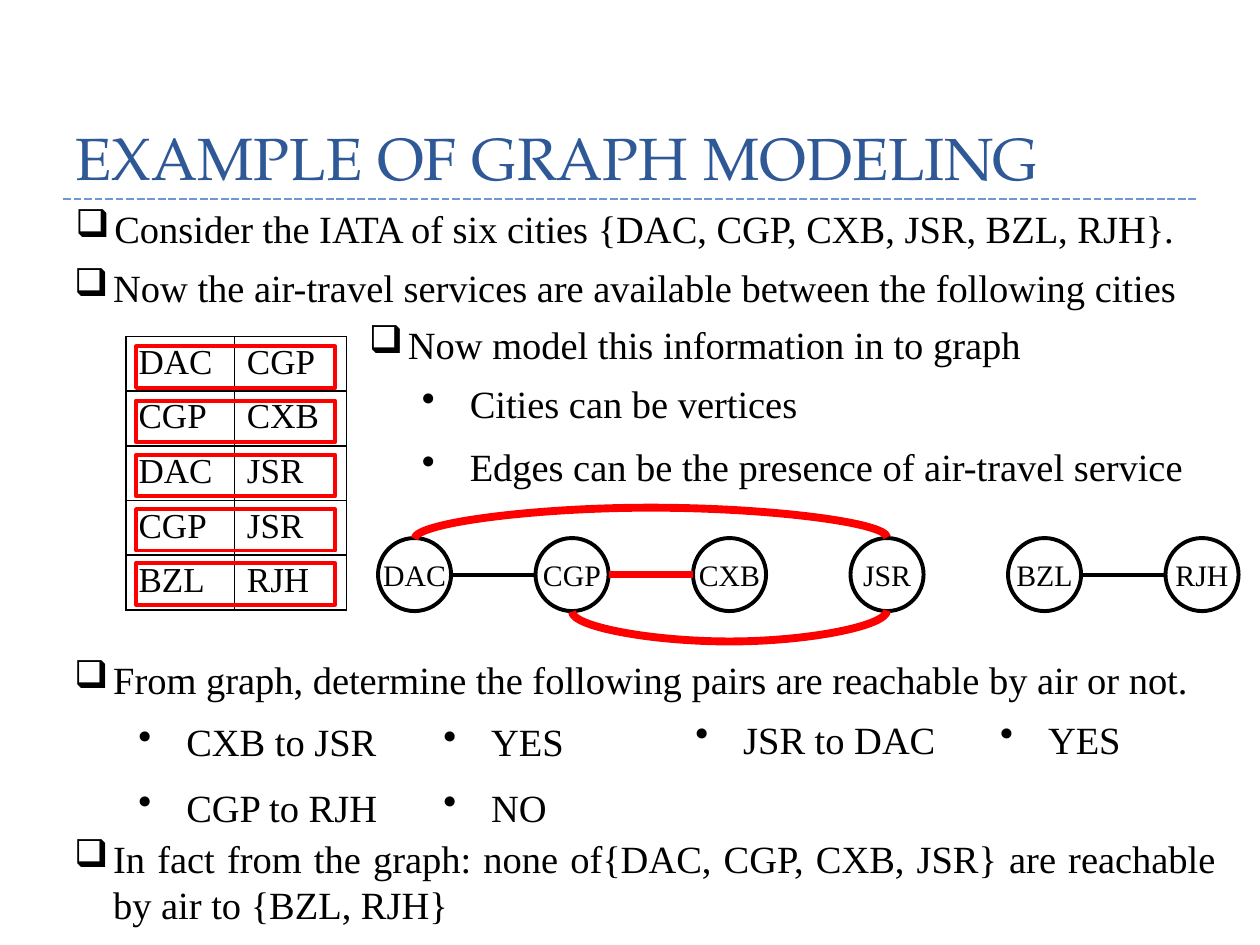
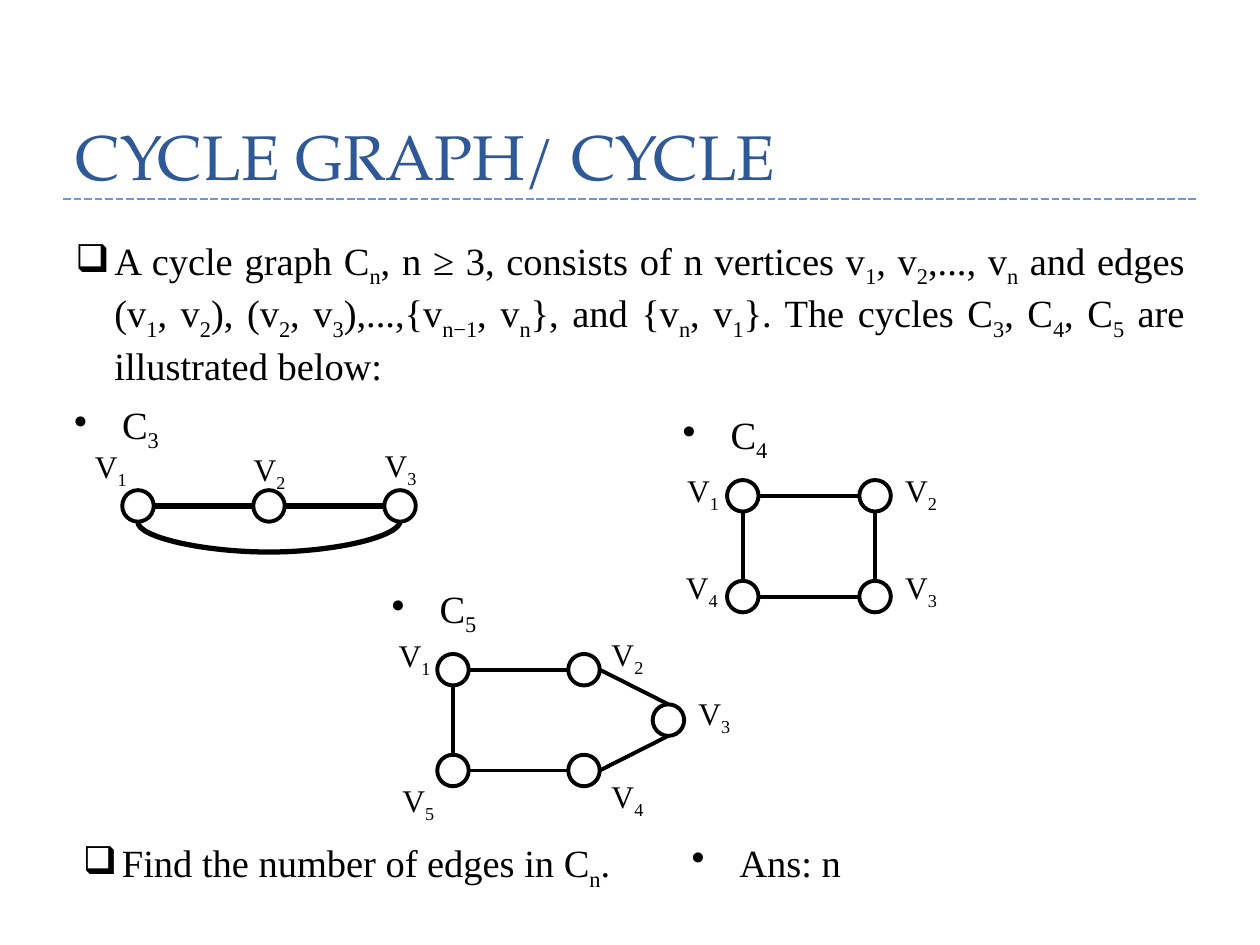
from lxml.etree import SubElement
from pptx import Presentation
from pptx.dml.color import RGBColor
from pptx.enum.dml import MSO_LINE
from pptx.enum.shapes import MSO_CONNECTOR, MSO_SHAPE
from pptx.enum.text import MSO_ANCHOR, MSO_AUTO_SIZE, PP_ALIGN
from pptx.oxml.ns import qn
from pptx.util import Emu, Pt

TITLE_BLUE = RGBColor(0x2F, 0x58, 0x97)
RULE_BLUE = RGBColor(0x70, 0x97, 0xD3)
BLACK = RGBColor(0, 0, 0)
RED = RGBColor(0xFF, 0, 0)

TITLE_FONT = "TeX Gyre Pagella"
BODY_FONT = "Times New Roman"
CHECK, DOT = "❑", "•"
INDENT = {CHECK: 31, DOT: 38}
LINE_HEIGHT = 47

# Connection sites of an ellipse: index, then place as a share of its box
TOP, LEFT, BOTTOM, RIGHT = (0, .5, 0), (2, 0, .5), (4, .5, 1), (6, 1, .5)
ARC_DEPTH = 25


def px(length):
    """Turn px, 100 to the inch, into EMU."""
    return Emu(round(length * 9144))


def write(frame, text, size=22, font=BODY_FONT, color=BLACK, align=PP_ALIGN.LEFT,
          bullet=None, spacing=None):
    """Fill the first paragraph; parts between ~ marks are subscripts."""
    paragraph = frame.paragraphs[0]
    if bullet:
        properties = paragraph._p.get_or_add_pPr()
        properties.set("marL", str(px(INDENT[bullet])))
        properties.set("indent", str(-px(INDENT[bullet])))
        SubElement(properties, qn("a:buChar"), char=bullet)
    paragraph.alignment = align
    if spacing:
        paragraph.line_spacing = Pt(spacing)
    for index, part in enumerate(text.split("~")):
        if not part:
            continue
        run = paragraph.add_run()
        run.text = part
        run.font.size = Pt(size)
        run.font.name = font
        run.font.color.rgb = color
        if index % 2:
            run._r.get_or_add_rPr().set("baseline", "-25000")


def text_box(slide, left, top, width, text, height=LINE_HEIGHT, wrap=False, **style):
    frame = slide.shapes.add_textbox(px(left), px(top), px(width), px(height)).text_frame
    frame.word_wrap = wrap
    write(frame, text, **style)


def outline(slide, kind, left, top, width, height, color=BLACK):
    shape = slide.shapes.add_shape(kind, px(left), px(top), px(width), px(height))
    shape.shadow.inherit = False
    shape.fill.background()
    shape.line.color.rgb = color
    shape.line.width = Pt(2.25)
    return shape


def node(slide, left, top, diameter, label=""):
    circle = outline(slide, MSO_SHAPE.OVAL, left, top, diameter, diameter)
    if label:
        frame = circle.text_frame
        frame.margin_left = frame.margin_right = frame.margin_top = frame.margin_bottom = 0
        frame.vertical_anchor = MSO_ANCHOR.MIDDLE
        frame.word_wrap = False
        write(frame, label, size=17, align=PP_ALIGN.CENTER)
    return circle


def connector(slide, kind, start, end, color=BLACK, weight=2.25):
    line = slide.shapes.add_connector(kind, *start, *end)
    line.line.color.rgb = color
    line.line.width = Pt(weight)
    SubElement(line._element.spPr, qn("a:effectLst"))
    return line


def site_point(shape, site):
    _, across, down = site
    return Emu(round(shape.left + across * shape.width)), Emu(round(shape.top + down * shape.height))


def glue(line, *ends):
    properties = line._element.find(qn("p:nvCxnSpPr")).find(qn("p:cNvCxnSpPr"))
    for tag, (shape, site) in zip(("a:stCxn", "a:endCxn"), ends):
        SubElement(properties, qn(tag), id=str(shape.shape_id), idx=str(site[0]))


def edge(slide, first, first_site, second, second_site, **style):
    line = connector(slide, MSO_CONNECTOR.STRAIGHT, site_point(first, first_site),
                     site_point(second, second_site), **style)
    glue(line, (first, first_site), (second, second_site))


def arc(slide, left_node, right_node, site, **style):
    """Join two nodes on one level by a curve that bulges away from them."""
    start, end = site_point(left_node, site), site_point(right_node, site)
    if site == BOTTOM:
        start, end = end, start
    span, thickness = abs(end[0] - start[0]), px(1)
    line = connector(slide, MSO_CONNECTOR.CURVE, start, end, **style)
    properties = line._element.spPr
    transform = properties.find(qn("a:xfrm"))
    for flip in ("flipH", "flipV"):
        transform.attrib.pop(flip, None)
    transform.set("rot", str((90 if site == BOTTOM else 270) * 60000))
    line.left = Emu((start[0] + end[0] - thickness) // 2)
    line.top = Emu(start[1] - span // 2)
    line.width, line.height = thickness, Emu(span)
    guides = properties.find(qn("a:prstGeom")).get_or_add_avLst()
    SubElement(guides, qn("a:gd"), name="adj1", fmla=f"val {ARC_DEPTH * 100000}")
    ends = [(left_node, site), (right_node, site)]
    glue(line, *(reversed(ends) if site == BOTTOM else ends))


def titled_slide(deck, title, size):
    slide = deck.slides.add_slide(deck.slide_layouts[5])
    rule = connector(slide, MSO_CONNECTOR.STRAIGHT, (px(50), px(158)), (px(950), px(158)),
                     color=RULE_BLUE, weight=1.5)
    rule.line.dash_style = MSO_LINE.SQUARE_DOT
    heading = slide.shapes.title
    heading.left, heading.top, heading.width, heading.height = px(50), px(-17), px(900), px(175)
    frame = heading.text_frame
    frame.auto_size = MSO_AUTO_SIZE.NONE
    frame.vertical_anchor = MSO_ANCHOR.BOTTOM
    write(frame, title, size=size, font=TITLE_FONT, color=TITLE_BLUE, spacing=58)
    return slide


def border_cell(cell):
    properties = cell._tc.get_or_add_tcPr()
    for side in ("a:lnL", "a:lnR", "a:lnT", "a:lnB"):
        line = SubElement(properties, qn(side), w=str(Pt(1)))
        fill = SubElement(line, qn("a:solidFill"))
        SubElement(fill, qn("a:srgbClr"), val=str(BLACK))
    cell.fill.background()


def flight_table(slide, left, top, flights):
    row_height, column_widths = 43, (86, 89)
    table = slide.shapes.add_table(len(flights), 2, px(left), px(top), px(sum(column_widths)),
                                   px(row_height * len(flights))).table
    table.first_row = table.horz_banding = False
    for column, width in zip(table.columns, column_widths):
        column.width = px(width)
    for index, flight in enumerate(flights):
        table.rows[index].height = px(row_height)
        for column, city in enumerate(flight):
            cell = table.cell(index, column)
            border_cell(cell)
            write(cell.text_frame, city, size=20)
        outline(slide, MSO_SHAPE.RECTANGLE, left + 8, top + 8 + row_height * index, 158, 33, RED)


def flight_graph(slide, left, top, cities):
    nodes = {city: node(slide, left + 125 * index, top, 58, city)
             for index, city in enumerate(cities)}
    edge(slide, nodes["DAC"], RIGHT, nodes["CGP"], LEFT)
    edge(slide, nodes["BZL"], RIGHT, nodes["RJH"], LEFT)
    served = {"color": RED, "weight": 4.5}
    edge(slide, nodes["CGP"], RIGHT, nodes["CXB"], LEFT, **served)
    arc(slide, nodes["CGP"], nodes["JSR"], BOTTOM, **served)
    arc(slide, nodes["DAC"], nodes["JSR"], TOP, **served)


def reachability(slide, left, top, pair, answer):
    text_box(slide, left, top, 211, pair, bullet=DOT)
    text_box(slide, left + 242, top, 116, answer, bullet=DOT)


def modeling_slide(deck):
    slide = titled_slide(deck, "EXAMPLE OF GRAPH MODELING", 34)
    for left, top, width, text in (
            (50, 158, 894, "Consider the IATA of six cities {DAC, CGP, CXB, JSR, BZL, RJH}."),
            (49, 205, 909, "Now the air-travel services are available between the following cities"),
            (283, 250, 544, "Now model this information in to graph"),
            (49, 516, 915, "From graph, determine the following pairs are reachable by air or not.")):
        text_box(slide, left, top, width, text, bullet=CHECK)
    text_box(slide, 325, 297, 321, "Cities can be vertices", bullet=DOT)
    text_box(slide, 325, 347, 631, "Edges can be the presence of air-travel service", bullet=DOT)
    flight_table(slide, 100, 267, (("DAC", "CGP"), ("CGP", "CXB"), ("DAC", "JSR"),
                                   ("CGP", "JSR"), ("BZL", "RJH")))
    flight_graph(slide, 300, 427, ("DAC", "CGP", "CXB", "JSR", "BZL", "RJH"))
    reachability(slide, 100, 565, "CXB to JSR", "YES")
    reachability(slide, 542, 563, "JSR to DAC", "YES")
    reachability(slide, 100, 617, "CGP to RJH", "NO")
    text_box(slide, 49, 658, 926,
             "In fact from the graph: none of{DAC, CGP, CXB, JSR} are reachable by air to {BZL, RJH}",
             height=84, wrap=True, align=PP_ALIGN.JUSTIFY, bullet=CHECK)


def cycle_vertices(slide, left, top, caption_offset, places, label_offsets):
    """Draw caption, circles and labels of one cycle; return the circles."""
    across, down = caption_offset
    text_box(slide, left + across, top + down, 92, f"C~{len(places)}~", wrap=True, bullet=DOT)
    for number, (x, y) in enumerate(label_offsets, 1):
        text_box(slide, left + x, top + y, 56, f"V~{number}~", height=40, wrap=True,
                 size=18, align=PP_ALIGN.CENTER)
    return [node(slide, left + x, top + y, 25) for x, y in places]


def cycle_of_three(slide, left, top):
    v1, v2, v3 = cycle_vertices(slide, left, top, (-48, -76), ((0, 0), (104, 0), (208, 0)),
                                ((-37, -39), (89, -37), (193, -40)))
    edge(slide, v1, RIGHT, v2, LEFT, weight=3)
    edge(slide, v2, RIGHT, v3, LEFT, weight=3)
    arc(slide, v1, v3, BOTTOM, weight=3)


def three_sides(slide, top_left, top_right, bottom_right, bottom_left):
    edge(slide, top_left, RIGHT, top_right, LEFT)
    edge(slide, top_left, BOTTOM, bottom_left, TOP)
    edge(slide, bottom_left, RIGHT, bottom_right, LEFT)


def cycle_of_four(slide, left, top):
    v1, v2, v3, v4 = cycle_vertices(
        slide, left, top, (-45, -60), ((0, 0), (105, 0), (105, 80), (0, 80)),
        ((-47, -12), (126, -12), (126, 65), (-48, 65)))
    three_sides(slide, v1, v2, v3, v4)
    edge(slide, v2, BOTTOM, v3, TOP)


def cycle_of_five(slide, left, top):
    v1, v2, v3, v4, v5 = cycle_vertices(
        slide, left, top, (-46, -60), ((0, 0), (104, 0), (171, 40), (104, 80), (0, 80)),
        ((-46, -19), (123, -20), (192, 27), (123, 93), (-43, 96)))
    three_sides(slide, v1, v2, v4, v5)
    edge(slide, v2, RIGHT, v3, TOP)
    edge(slide, v4, RIGHT, v3, BOTTOM)


def cycle_slide(deck):
    slide = titled_slide(deck, "CYCLE GRAPH/ CYCLE", 36)
    text_box(slide, 50, 183, 900,
             "A cycle graph C~n~, n ≥ 3, consists of n vertices v~1~, v~2~,..., v~n~ and edges "
             "(v~1~, v~2~), (v~2~, v~3~),...,{v~n−1~, v~n~}, and {v~n~, v~1~}. "
             "The cycles C~3~, C~4~, C~5~ are illustrated below:",
             height=121, wrap=True, align=PP_ALIGN.JUSTIFY, bullet=CHECK)
    cycle_of_three(slide, 97, 389)
    cycle_of_four(slide, 577, 381)
    cycle_of_five(slide, 347, 519)
    text_box(slide, 56, 661, 462, "Find the number of edges in C~n~.", wrap=True, bullet=CHECK)
    text_box(slide, 539, 661, 353, "Ans: n", wrap=True, bullet=DOT)


def main():
    deck = Presentation()
    deck.slide_width, deck.slide_height = px(1000), px(750)
    modeling_slide(deck)
    cycle_slide(deck)
    deck.save("out.pptx")


if __name__ == "__main__":
    main()
